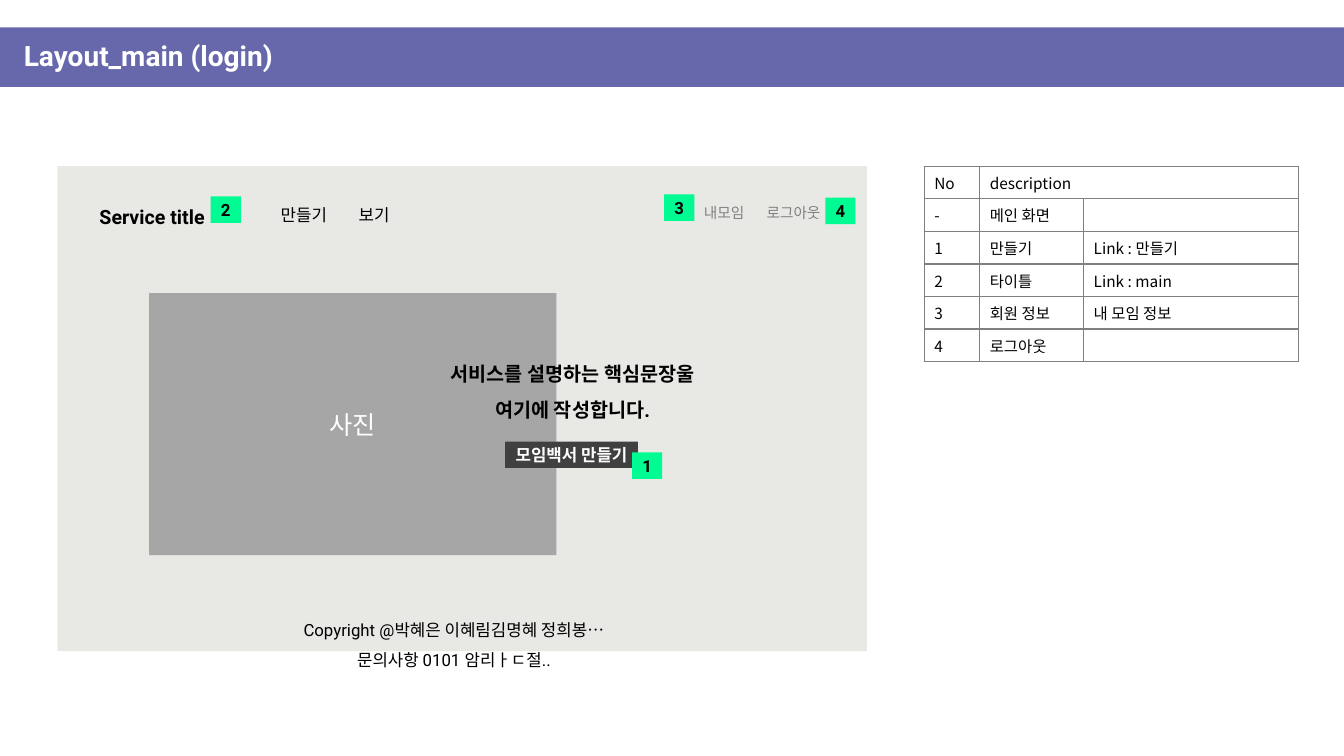
from lxml import etree
from pptx import Presentation
from pptx.dml.color import RGBColor
from pptx.enum.shapes import MSO_SHAPE
from pptx.enum.text import MSO_ANCHOR, MSO_AUTO_SIZE, PP_ALIGN
from pptx.oxml.ns import qn
from pptx.util import Cm, Pt

RECTANGLE = MSO_SHAPE.RECTANGLE
MIDDLE = MSO_ANCHOR.MIDDLE
FIXED_SIZE = MSO_AUTO_SIZE.NONE
LEFT, CENTER = PP_ALIGN.LEFT, PP_ALIGN.CENTER

ROBOTO, NOTO = "Roboto", "Noto Sans CJK KR"
BLACK, WHITE, GRAY = "000000", "FFFFFF", "808080"
PURPLE, SCREEN, PHOTO = "6768AC", "E8E8E5", "A6A6A6"
DARK, GREEN = "404040", "00FB92"

COLUMN_WIDTHS = (1.4, 2.62, 5.41)
ROW_HEIGHT = 0.82
DESCRIPTIONS = (
    ("No", "description", ""),
    ("-", "메인 화면", ""),
    ("1", "만들기", "Link : 만들기"),
    ("2", "타이틀", "Link : main"),
    ("3", "회원 정보", "내 모임 정보"),
    ("4", "로그아웃", ""),
)

# Text, left, top, width, height, size, colour, bold
SCREEN_TEXTS = (
    ("Service title", 1.17, 4.75, 5.33, 1.07, 14, BLACK, True),
    ("만들기", 6.15, 4.78, 3.02, 0.97, 12, BLACK, False),
    ("보기", 7.92, 4.78, 3.02, 0.97, 12, BLACK, False),
    ("내모임", 17.12, 4.8, 2.26, 0.91, 10.5, GRAY, False),
    ("로그아웃", 18.49, 4.8, 3.02, 0.91, 10.5, GRAY, False),
    ("서비스를 설명하는 핵심문장울\n여기에 작성합니다.",
     10.36, 8.71, 8.15, 1.98, 14, BLACK, True),
    ("Copyright @박혜은 이혜림김명혜 정희봉…\n문의사항 0101 암리ㅏㄷ절..",
     0.25, 15.24, 22.38, 1.73, 12, BLACK, False),
)

BADGES = (("1", 15.93, 11.4), ("2", 5.31, 4.95),
          ("3", 16.74, 4.9), ("4", 20.8, 4.98))


def color(hex_value):
    return RGBColor.from_string(hex_value)


def write(frame, text, size, hex_value, font_name=ROBOTO, bold=False,
          align=CENTER, spacing=None):
    for index, line in enumerate(text.split("\n")):
        paragraph = frame.add_paragraph() if index else frame.paragraphs[0]
        paragraph.alignment = align
        paragraph.line_spacing = spacing
        run = paragraph.add_run()
        run.text = line
        font = run.font
        font.name, font.size, font.bold = font_name, Pt(size), bold
        font.color.rgb = color(hex_value)
        # Korean letters take the East Asian font
        etree.SubElement(run._r.get_or_add_rPr(), qn("a:ea"), typeface=NOTO)


def add_box(slide, left, top, width, height, fill):
    box = slide.shapes.add_shape(RECTANGLE, Cm(left), Cm(top), Cm(width), Cm(height))
    box.shadow.inherit = False
    box.fill.solid()
    box.fill.fore_color.rgb = color(fill)
    box.line.fill.background()
    box.text_frame.word_wrap = False
    box.text_frame.vertical_anchor = MIDDLE
    return box


def add_text(slide, text, left, top, width, height, size, hex_value, bold):
    label = slide.shapes.add_textbox(Cm(left), Cm(top), Cm(width), Cm(height))
    label.text_frame.word_wrap = True
    write(label.text_frame, text, size, hex_value, bold=bold, spacing=1.5)


def set_title(slide, text):
    title = slide.shapes.title
    title.left, title.top, title.width, title.height = Cm(0), Cm(0.69), Cm(33.87), Cm(1.5)
    title.fill.solid()
    title.fill.fore_color.rgb = color(PURPLE)
    frame = title.text_frame
    frame.auto_size = FIXED_SIZE
    frame.vertical_anchor = MIDDLE
    frame.margin_left = Cm(0.6)
    write(frame, text, 20, WHITE, bold=True, align=LEFT, spacing=0.9)


def style_cell(cell):
    properties = cell._tc.get_or_add_tcPr()
    for side in ("lnL", "lnR", "lnT", "lnB"):
        border = etree.SubElement(properties, qn(f"a:{side}"), w=str(Pt(1)))
        fill = etree.SubElement(border, qn("a:solidFill"))
        etree.SubElement(fill, qn("a:srgbClr"), val=GRAY)
    cell.fill.solid()
    cell.fill.fore_color.rgb = color(WHITE)
    cell.vertical_anchor = MIDDLE


def add_description_table(slide):
    row_count = len(DESCRIPTIONS)
    table = slide.shapes.add_table(
        row_count, len(COLUMN_WIDTHS), Cm(23.29), Cm(4.19),
        Cm(sum(COLUMN_WIDTHS)), Cm(ROW_HEIGHT * row_count)).table
    for column, width in zip(table.columns, COLUMN_WIDTHS):
        column.width = Cm(width)
    for row_index, entries in enumerate(DESCRIPTIONS):
        table.rows[row_index].height = Cm(ROW_HEIGHT)
        for column_index, entry in enumerate(entries):
            cell = table.cell(row_index, column_index)
            style_cell(cell)
            if entry:
                write(cell.text_frame, entry, 11, BLACK, NOTO, align=LEFT)
            else:
                cell.text_frame.paragraphs[0].font.size = Pt(11)
    table.cell(0, 1).merge(table.cell(0, 2))


def main():
    deck = Presentation()
    deck.slide_width, deck.slide_height = Cm(33.87), Cm(19.05)
    slide = deck.slides.add_slide(deck.slide_layouts[5])

    # Heading band, screen area and description table
    set_title(slide, "Layout_main (login)")
    add_box(slide, 1.45, 4.19, 20.4, 12.22, SCREEN)
    add_description_table(slide)

    # Screen content
    photo = add_box(slide, 3.76, 7.39, 10.26, 6.6, PHOTO)
    write(photo.text_frame, "사진", 18, WHITE, NOTO)
    for screen_text in SCREEN_TEXTS:
        add_text(slide, *screen_text)
    button = add_box(slide, 12.73, 11.13, 3.35, 0.66, DARK)
    write(button.text_frame, "모임백서 만들기", 12, WHITE, bold=True)

    # Numbered badges
    for number, left, top in BADGES:
        badge = add_box(slide, left, top, 0.76, 0.67, GREEN)
        write(badge.text_frame, number, 12, BLACK, bold=True)

    deck.save("out.pptx")


if __name__ == "__main__":
    main()
